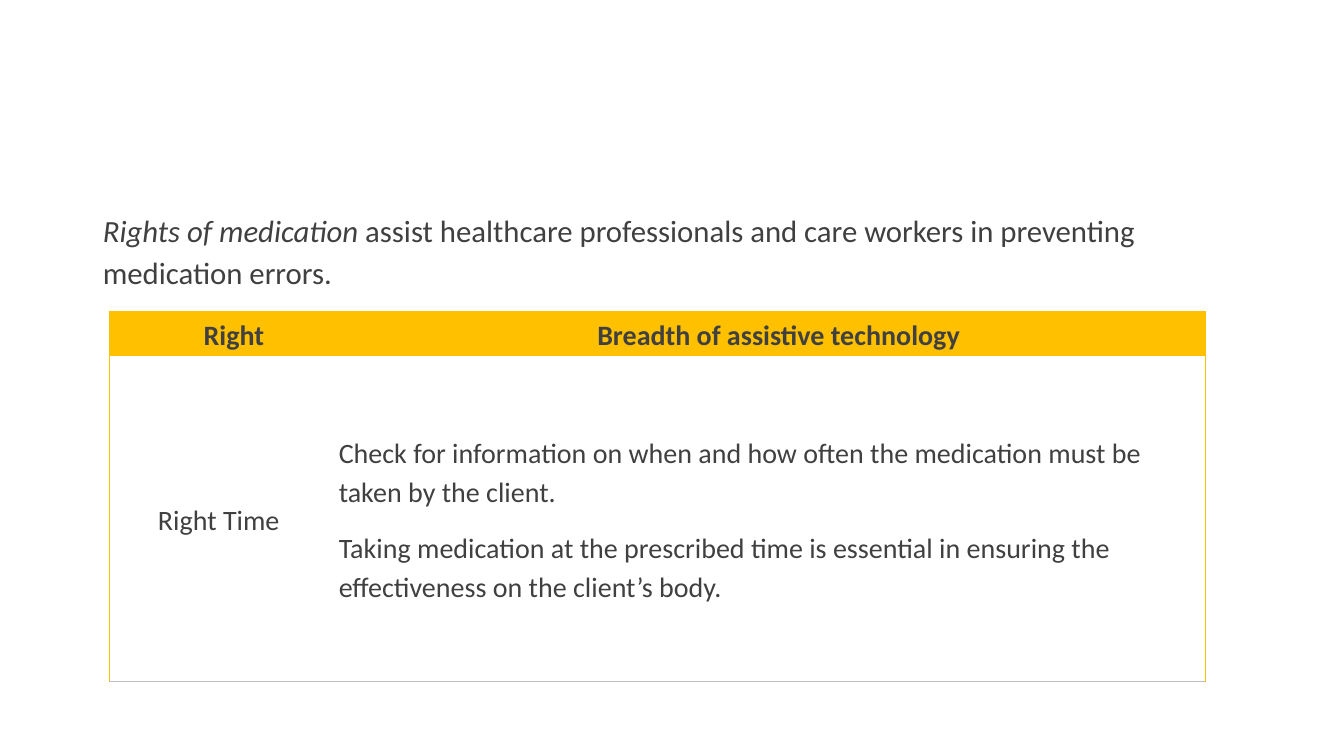
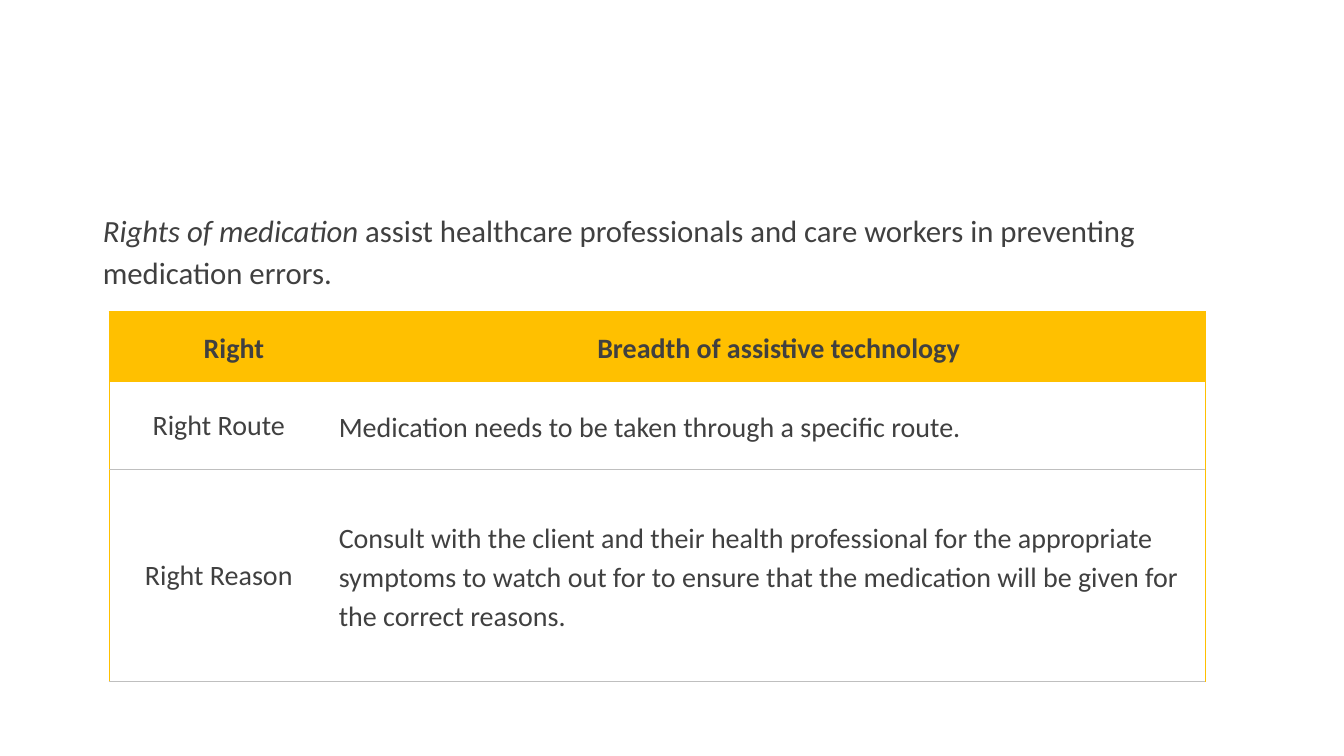
from dataclasses import dataclass

from lxml.etree import SubElement
from pptx import Presentation
from pptx.dml.color import RGBColor
from pptx.enum.text import MSO_ANCHOR, MSO_AUTO_SIZE, PP_ALIGN
from pptx.oxml.ns import qn
from pptx.util import Inches, Pt


@dataclass(frozen=True)
class Theme:
    font: str = "Calibri"
    text: str = "404040"
    accent: str = "FFC000"
    rule: str = "BFBFBF"
    intro_size: int = 22
    table_size: int = 20
    border_width: float = 0.5
    line_spacing: float = 1.14
    paragraph_gap: int = 6


THEME = Theme()
PLAIN_TABLE_STYLE = "{2D5ABB26-0587-4C30-8999-92F81FD0307C}"

# Boxes are left, top, width, height in inches
INTRO_BOX = (0.92, 2, 11.03, 4.76)
TABLE_BOX = (1.08, 3.09, 10.87, 3.67)
LABEL_WIDTH = 2.18

INTRO = (
    "Rights of medication ",
    "assist healthcare professionals and care workers in preventing medication errors.",
)
HEADINGS = ("Right", "Breadth of assistive technology ")

# Each row holds its label and the paragraphs beside it
SLIDES = [
    {
        "heights": (0.44, 3.23),
        "spaced_labels": True,
        "rows": [
            ("Right Time", [
                "Check for information on when and how often the medication must be "
                "taken by the client.",
                "Taking medication at the prescribed time is essential in ensuring the "
                "effectiveness on the client’s body.",
            ]),
        ],
    },
    {
        "heights": (0.7, 0.87, 2.1),
        "spaced_labels": False,
        "rows": [
            ("Right Route", ["Medication needs to be taken through a specific route."]),
            ("Right Reason", [
                "Consult with the client and their health professional for the appropriate "
                "symptoms to watch out for to ensure that the medication will be given for "
                "the correct reasons.",
            ]),
        ],
    },
]


def style_run(run, size, bold=False, italic=False):
    font = run.font
    font.name = THEME.font
    font.size = Pt(size)
    font.bold = bold
    font.italic = italic
    font.color.rgb = RGBColor.from_string(THEME.text)


def space_paragraph(paragraph, first):
    paragraph.line_spacing = THEME.line_spacing
    paragraph.space_before = Pt(0 if first else THEME.paragraph_gap)
    paragraph.space_after = Pt(THEME.paragraph_gap)


def add_border(cell, side, color):
    line = SubElement(cell._tc.get_or_add_tcPr(), qn(f"a:ln{side}"),
                      w=str(Pt(THEME.border_width)))
    fill = SubElement(line, qn("a:solidFill"))
    SubElement(fill, qn("a:srgbClr"), val=color)


def fill_cell(cell, paragraphs, bold=False, centered=False, spaced=True):
    cell.vertical_anchor = MSO_ANCHOR.MIDDLE
    cell.text_frame.text = "\n".join(paragraphs)
    for index, paragraph in enumerate(cell.text_frame.paragraphs):
        paragraph.alignment = PP_ALIGN.CENTER if centered else PP_ALIGN.LEFT
        if spaced:
            space_paragraph(paragraph, first=index == 0)
        style_run(paragraph.runs[0], THEME.table_size, bold)


def add_intro(slide, box):
    """Place the opening sentence in the body placeholder."""
    body = slide.placeholders[1]
    body.left, body.top, body.width, body.height = map(Inches, box)
    frame = body.text_frame
    frame.auto_size = MSO_AUTO_SIZE.NONE
    frame.vertical_anchor = MSO_ANCHOR.TOP
    paragraph = frame.paragraphs[0]
    properties = paragraph._p.get_or_add_pPr()
    properties.set("marL", "0")
    properties.set("indent", "0")
    SubElement(properties, qn("a:buNone"))
    space_paragraph(paragraph, first=True)
    paragraph.alignment = PP_ALIGN.LEFT
    for index, text in enumerate(INTRO):
        run = paragraph.add_run()
        run.text = text
        style_run(run, THEME.intro_size, italic=index == 0)


def format_heading(cell, text):
    cell.margin_left = cell.margin_right = Inches(0.07)
    cell.margin_top = cell.margin_bottom = 0
    fill_cell(cell, [text], bold=True, centered=True)
    properties = cell.text_frame.paragraphs[0]._p.get_or_add_pPr()
    properties.set("marL", str(Inches(0.55)))
    properties.set("indent", str(Inches(-0.25)))


def add_rights_table(slide, box, heights, rows, spaced_labels):
    """Place the table of rights, with a filled heading row."""
    frame = slide.shapes.add_table(len(heights), len(HEADINGS), *map(Inches, box))
    table = frame.table
    table._tbl.tblPr.find(qn("a:tableStyleId")).text = PLAIN_TABLE_STYLE
    for column, width in zip(table.columns, (LABEL_WIDTH, box[2] - LABEL_WIDTH)):
        column.width = Inches(width)
    for row, height in zip(table.rows, heights):
        row.height = Inches(height)

    # Heading row and body text
    for column, heading in enumerate(HEADINGS):
        format_heading(table.cell(0, column), heading)
    for index, (label, paragraphs) in enumerate(rows, start=1):
        fill_cell(table.cell(index, 0), [label], centered=True, spaced=spaced_labels)
        fill_cell(table.cell(index, 1), paragraphs)

    # Outer sides, row rules and fills
    for index in range(len(heights)):
        for column, side in enumerate("LR"):
            cell = table.cell(index, column)
            add_border(cell, side, THEME.accent)
            if index == 0:
                add_border(cell, "T", THEME.accent)
                cell.fill.solid()
                cell.fill.fore_color.rgb = RGBColor.from_string(THEME.accent)
            else:
                add_border(cell, "B", THEME.rule)
                cell.fill.background()


def add_rights_slide(presentation, content):
    slide = presentation.slides.add_slide(presentation.slide_layouts[1])
    title = slide.shapes.title
    title._element.getparent().remove(title._element)
    add_intro(slide, INTRO_BOX)
    add_rights_table(slide, TABLE_BOX, **content)


def main():
    presentation = Presentation()
    presentation.slide_width = Inches(13.33)
    presentation.slide_height = Inches(7.5)
    for content in SLIDES:
        add_rights_slide(presentation, content)
    presentation.save("out.pptx")


if __name__ == "__main__":
    main()
